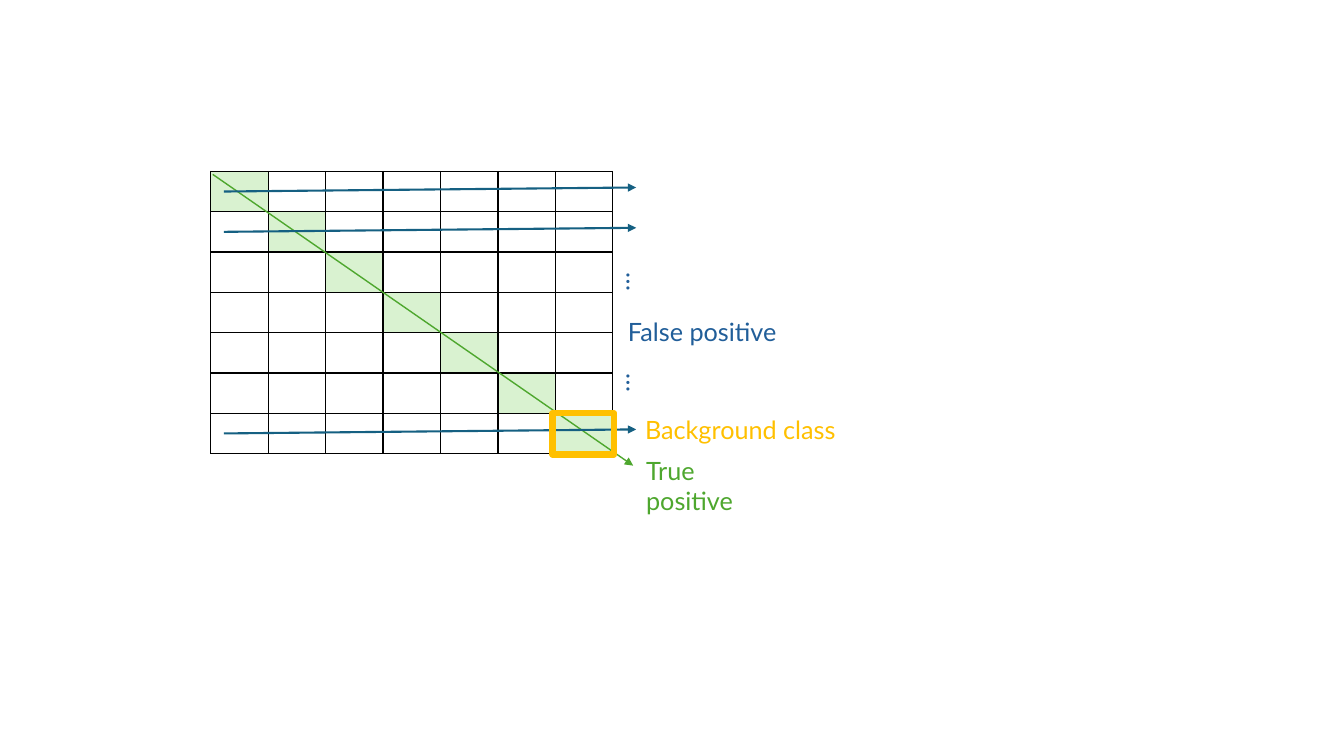
from dataclasses import dataclass
from lxml import etree
from pptx import Presentation
from pptx import util as u
from pptx.dml.color import RGBColor
from pptx.enum import shapes, text
from pptx.oxml import ns


@dataclass(frozen=True)
class Theme:
    font: str = "Lato"
    size: int = 18
    grid: str = "000000"
    cell: str = "FFFFFF"
    diagonal: str = "D9F2D0"
    true_pos: str = "4EA72E"
    false_pos: str = "215E99"
    row_arrow: str = "156082"
    background: str = "FFC000"


theme = Theme()
N = 7
LEFT, TOP, COL, ROW = 2.09, 1.7, 0.57, 0.4

prs = Presentation()
prs.slide_width, prs.slide_height = u.Inches(13.33), u.Inches(7.5)
s = prs.slides.add_slide(prs.slide_layouts[6])


def add_arrow(x1, y1, x2, y2, color, width):
    ends = [u.Inches(v) for v in (x1, y1, x2, y2)]
    line = s.shapes.add_connector(shapes.MSO_CONNECTOR.STRAIGHT, *ends)
    line.line.color.rgb = RGBColor.from_string(color)
    line.line.width = u.Pt(width)
    etree.SubElement(line.line._get_or_add_ln(), ns.qn("a:tailEnd"), type="triangle")
    etree.SubElement(line._element.spPr, ns.qn("a:effectLst"))


def add_label(words, x, y, width, color, rotation=0):
    tb = s.shapes.add_textbox(u.Inches(x), u.Inches(y), u.Inches(width), u.Inches(ROW))
    tb.rotation = rotation
    tf = tb.text_frame
    tf.word_wrap = True
    tf.auto_size = text.MSO_AUTO_SIZE.SHAPE_TO_FIT_TEXT
    r = tf.paragraphs[0].add_run()
    r.text = words
    for name, value in {"name": theme.font, "size": u.Pt(theme.size)}.items():
        setattr(r.font, name, value)
    r.font.color.rgb = RGBColor.from_string(color)


table = s.shapes.add_table(
    N, N, u.Inches(LEFT), u.Inches(TOP), u.Inches(N * COL), u.Inches(N * ROW)
).table
table.first_row = table.horz_banding = False
for i in range(N):
    table.columns[i].width = u.Inches(COL)
    table.rows[i].height = u.Inches(ROW)
    for j in range(N):
        cell = table.cell(i, j)
        for side in ("left", "right", "top", "bottom"):
            setattr(cell, f"margin_{side}", 0)
        tcPr = cell._tc.get_or_add_tcPr()
        for edge in ("lnL", "lnR", "lnT", "lnB"):
            ln = etree.SubElement(tcPr, ns.qn(f"a:{edge}"), w=str(u.Pt(1)))
            fill = etree.SubElement(ln, ns.qn("a:solidFill"))
            etree.SubElement(fill, ns.qn("a:srgbClr"), val=theme.grid)
        cell.fill.solid()
        color = theme.diagonal if i == j else theme.cell
        cell.fill.fore_color.rgb = RGBColor.from_string(color)

add_arrow(2.11, 1.73, 6.28, 4.62, theme.true_pos, 1)
add_label("True positive", 6.31, 4.47, 1.59, theme.true_pos)

for row in (0, 1, N - 1):
    y = TOP + (row + 0.5) * ROW
    add_arrow(2.22, y, 6.31, y - 0.04, theme.row_arrow, 1.5)

add_label("False positive", 6.13, 3.09, 1.95, theme.false_pos)
for y in (2.65, 3.65):
    add_label("…", 6.07, y, 0.49, theme.false_pos, 90)

frame = s.shapes.add_shape(
    shapes.MSO_SHAPE.RECTANGLE, *[u.Inches(v) for v in (5.48, 4.1, 0.61, 0.41)]
)
frame.shadow.inherit = False
frame.fill.background()
frame.line.color.rgb = RGBColor.from_string(theme.background)
frame.line.width = u.Pt(4.5)
add_label("Background class", 6.3, 4.06, 2.63, theme.background)

prs.save("out.pptx")
